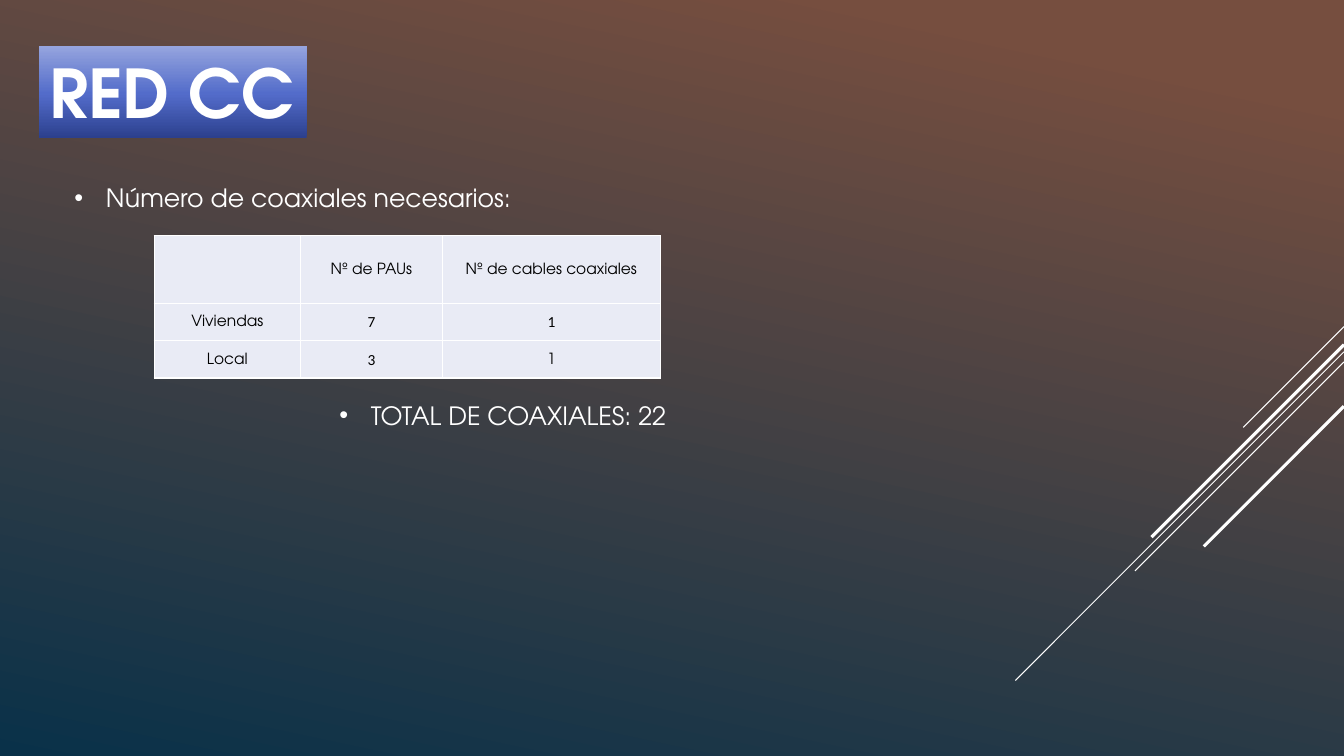
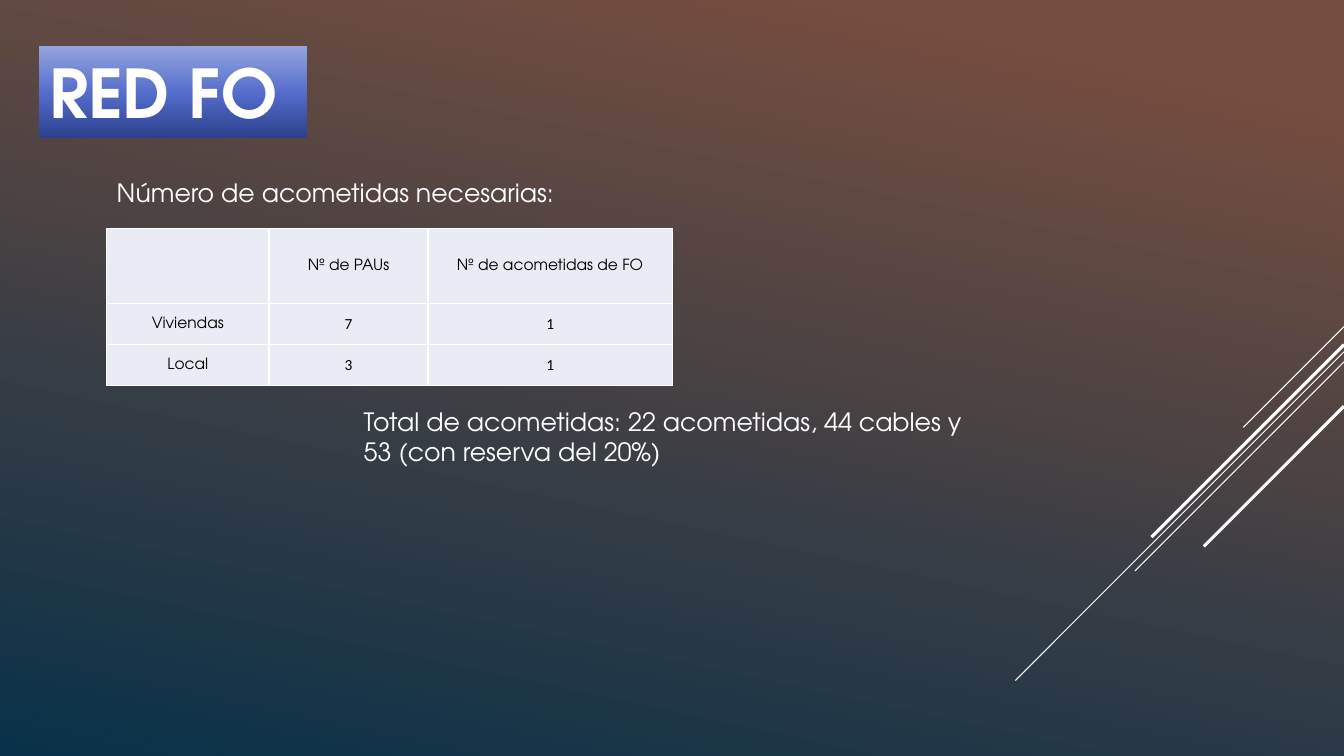
"""Build two slides on the coaxial and fibre networks of a building."""
from copy import deepcopy

from lxml import etree
from pptx import Presentation
from pptx import util as u
from pptx.dml.color import RGBColor
from pptx.enum import shapes, text
from pptx.oxml.ns import qn

FONT = "TeX Gyre Adventor"
DIGIT_FONT = "Calibri"
WHITE, BLACK, CELL = "FFFFFF", "000000", "E9EBF5"
BACKGROUND = [(0.1, "764E3F"), (1, "093149")]
TITLE_BAND = [(0, "2C408E"), (0.48, "536CCA"), (1, "95A4DE")]
WIDTH, HEIGHT = 960, 540
DIAGONALS = [
    (233.3, 72, 0.75),
    (251.3, 234.7, 0.75),
    (258.5, 149.3, 0.75),
    (246.2, 137.5, 2.25),
    (290.2, 100.1, 2.25),
]

SLIDES = [
    {
        "title": "RED CC",
        "table_at": (110.2, 168.5),
        "columns": [104.4, 101.5, 155.7],
        "rows": [48.2, 26.7, 26.7],
        "cells": [
            [("", FONT), ("Nº de PAUs", FONT), ("Nº de cables coaxiales", FONT)],
            [("Viviendas", FONT), ("7", DIGIT_FONT), ("1", DIGIT_FONT)],
            [("Local", FONT), ("3", DIGIT_FONT), ("1", FONT)],
        ],
        "bulleted": True,
        "notes": [
            ("Número de coaxiales necesarios:", 46.1, 126.7, 488.9, 29),
            ("TOTAL DE COAXIALES: 22", 235.4, 282.2, 488.9, 29),
        ],
    },
    {
        "title": "RED FO",
        "table_at": (76.2, 163.4),
        "columns": [116, 113.6, 174.4],
        "rows": [53.5, 29.3, 29.3],
        "cells": [
            [("", FONT), ("Nº de PAUs", FONT), ("Nº de acometidas de FO", FONT)],
            [("Viviendas", FONT), ("7", DIGIT_FONT), ("1", DIGIT_FONT)],
            [("Local", FONT), ("3", DIGIT_FONT), ("1", DIGIT_FONT)],
        ],
        "bulleted": False,
        "notes": [
            ("Número de acometidas necesarias:", 76.2, 123.1, 353.5, 29),
            ("Total de acometidas: 22 acometidas, 44 cables y 53 (con reserva del 20%)",
             252.7, 286.6, 444.2, 51),
        ],
    },
]


def set_gradient(owner, fill, stops, angle):
    fill.gradient()
    stop_list = owner.element.find(".//" + qn("a:gsLst"))
    while len(stop_list) < len(stops):
        stop_list.append(deepcopy(stop_list[0]))
    for stop, (position, color) in zip(fill.gradient_stops, stops):
        stop.position = position
        stop.color.rgb = RGBColor.from_string(color)
    fill.gradient_angle = angle


def write(frame, words, size, color, font=FONT, bold=False):
    frame.text = words
    para = frame.paragraphs[0]
    for span in para.runs:
        span.font.name = font
        span.font.size = u.Pt(size)
        span.font.bold = bold
        span.font.color.rgb = RGBColor.from_string(color)
    return para


deck = Presentation()
deck.slide_width, deck.slide_height = u.Pt(WIDTH), u.Pt(HEIGHT)
set_gradient(deck.slide_master, deck.slide_master.background.fill, BACKGROUND, 258)

for content in SLIDES:
    page = deck.slides.add_slide(deck.slide_layouts[6])

    for top, reach, weight in DIAGONALS:
        line = page.shapes.add_connector(
            shapes.MSO_CONNECTOR.STRAIGHT,
            u.Pt(WIDTH), u.Pt(top), u.Pt(WIDTH - reach), u.Pt(top + reach))
        line.line.color.rgb = RGBColor.from_string(WHITE)
        line.line.width = u.Pt(weight)
        etree.SubElement(line.element.spPr, qn("a:effectLst"))

    band = page.shapes.add_shape(
        shapes.MSO_SHAPE.RECTANGLE, u.Pt(28), u.Pt(33), u.Pt(191), u.Pt(65.5))
    band.shadow.inherit = False
    band.line.fill.background()
    set_gradient(band, band.fill, TITLE_BAND, 90)
    band.text_frame.word_wrap = True
    para = write(band.text_frame, content["title"], 48, WHITE, bold=True)
    para.alignment = text.PP_ALIGN.LEFT

    columns, rows = content["columns"], content["rows"]
    left, top = content["table_at"]
    table = page.shapes.add_table(
        len(rows), len(columns), u.Pt(left), u.Pt(top),
        u.Pt(sum(columns)), u.Pt(sum(rows))).table
    table.first_row = table.horz_banding = False
    for column, width in zip(table.columns, columns):
        column.width = u.Pt(width)
    for row, height, entries in zip(table.rows, rows, content["cells"]):
        row.height = u.Pt(height)
        for cell, (words, font) in zip(row.cells, entries):
            cell.vertical_anchor = text.MSO_ANCHOR.MIDDLE
            cell.margin_left = cell.margin_right = cell.margin_top = u.Pt(0.7)
            cell.margin_bottom = 0
            para = write(cell.text_frame, words, 11, BLACK, font)
            para.alignment = text.PP_ALIGN.CENTER
            properties = cell._tc.get_or_add_tcPr()
            for side in ("a:lnL", "a:lnR", "a:lnT", "a:lnB"):
                border = etree.SubElement(properties, qn(side), w=str(u.Pt(1)))
                paint = etree.SubElement(border, qn("a:solidFill"))
                etree.SubElement(paint, qn("a:srgbClr"), val=WHITE)
            cell.fill.solid()
            cell.fill.fore_color.rgb = RGBColor.from_string(CELL)

    for words, left, top, width, height in content["notes"]:
        box = page.shapes.add_textbox(u.Pt(left), u.Pt(top), u.Pt(width), u.Pt(height))
        box.text_frame.word_wrap = True
        box.text_frame.auto_size = text.MSO_AUTO_SIZE.SHAPE_TO_FIT_TEXT
        para = write(box.text_frame, words, 18, WHITE)
        if content["bulleted"]:
            properties = para._p.get_or_add_pPr()
            properties.set("marL", str(u.Pt(22.5)))
            properties.set("indent", str(u.Pt(-22.5)))
            etree.SubElement(properties, qn("a:buFont"), typeface="Arial")
            etree.SubElement(properties, qn("a:buChar"), char="•")

deck.save("out.pptx")
